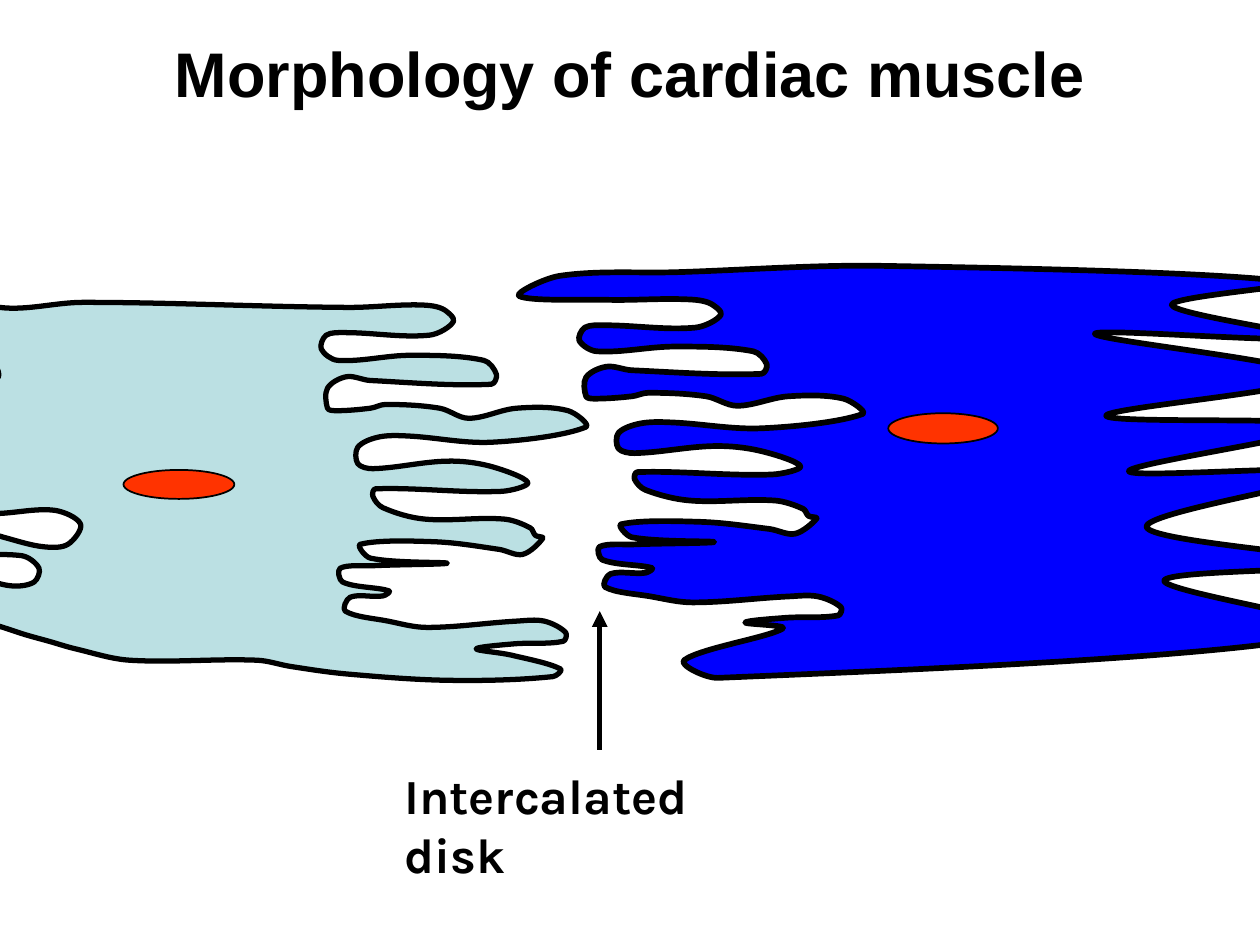
from math import dist
from lxml import etree
from pptx import Presentation, util as u
from pptx.dml.color import RGBColor
from pptx.enum import shapes, text
from pptx.oxml.ns import qn

PX = 9144  # 100 px to the inch

# Fingered edge that both cells share, from top to bottom
EDGE = [
    (331, 242), (351, 245), (360, 255), (341, 266), (274, 264), (259, 266),
    (255, 277), (268, 286), (326, 282), (384, 286), (394, 297), (390, 305),
    (294, 302), (275, 299), (260, 308), (260, 324), (266, 326), (294, 324),
    (306, 321), (349, 324), (372, 332), (410, 324), (451, 326), (465, 339),
    (390, 351), (323, 346), (300, 347), (284, 355), (284, 368), (296, 372),
    (355, 366), (389, 370), (419, 383), (398, 390), (298, 388), (296, 394),
    (304, 403), (337, 412), (400, 412), (421, 419), (425, 425), (431, 427),
    (415, 440), (396, 436), (345, 430), (286, 432), (294, 443), (355, 447),
    (296, 449), (270, 451), (272, 462), (309, 469), (304, 473), (278, 474),
    (274, 485), (308, 493), (339, 498), (410, 493), (432, 493), (449, 502),
    (447, 509), (408, 511), (378, 515), (406, 520)]
# The rest of each cell, from the foot of the edge back to its head
LEFT = [
    (445, 531), (439, 537), (358, 540), (276, 535), (231, 529), (204, 524),
    (103, 524), (60, 515), (39, 509), (21, 504), (-8, 495), (-71, 482),
    (-85, 458), (-22, 458), (9, 465), (27, 462), (31, 451), (17, 441),
    (-73, 438), (-79, 403), (5, 427), (35, 434), (54, 432), (64, 416),
    (43, 405), (-14, 407), (-94, 386), (-102, 364), (-24, 363), (-104, 338),
    (-6, 332), (-14, 317), (-114, 308), (-47, 308), (-2, 300), (-8, 286),
    (-104, 269), (-20, 273), (-94, 229), (-38, 227), (0, 244), (66, 240),
    (276, 244)]
RIGHT = [
    (543, 524), (570, 538), (1065, 502), (924, 461), (1063, 447), (910, 418),
    (1059, 375), (896, 374), (1051, 338), (878, 330), (1043, 299), (869, 265),
    (1036, 268), (930, 242), (1026, 224), (699, 211), (538, 216), (444, 219),
    (412, 235), (484, 238)]


def px(*vals):
    return [u.Emu(round(v * PX)) for v in vals]


def tint(code):
    return RGBColor.from_string(code)


def smooth(pts):
    """Add two handles between each pair of points on a closed outline."""
    count = len(pts)
    slopes = []
    for i, (x, y) in enumerate(pts):
        last, then = pts[i - 1], pts[(i + 1) % count]
        span = dist(last, (x, y)) + dist((x, y), then)
        slopes.append(((then[0] - last[0]) / span, (then[1] - last[1]) / span))
    path = [pts[0]]
    for i, (x, y) in enumerate(pts):
        j = (i + 1) % count
        nx, ny = pts[j]
        reach = dist((x, y), (nx, ny)) / 3
        path += [(x + slopes[i][0] * reach, y + slopes[i][1] * reach),
                 (nx - slopes[j][0] * reach, ny - slopes[j][1] * reach),
                 (nx, ny)]
    return path


def put(frame, words, size=28, font="Arial", bold=True, color="000000", align=None):
    frame.word_wrap = True
    par = frame.paragraphs[0]
    par.alignment = align
    run = par.add_run()
    run.text = words
    face = run.font
    face.size, face.name, face.bold = u.Pt(size), font, bold
    face.color.rgb = tint(color)


class Draw:
    ink = "000000"

    def __init__(self, slide):
        self.slide = slide

    def paint(self, shape, fill, width):
        shape.shadow.inherit = False
        shape.fill.solid()
        shape.fill.fore_color.rgb = tint(fill)
        shape.line.color.rgb = tint(self.ink)
        shape.line.width = u.Pt(width)

    def title(self, words, box):
        head = self.slide.shapes.title
        head.left, head.top, head.width, head.height = px(*box)
        head.text_frame.vertical_anchor = text.MSO_ANCHOR.MIDDLE
        put(head.text_frame, words, size=36, align=text.PP_ALIGN.CENTER)

    def label(self, words, box, **form):
        frame = self.slide.shapes.add_textbox(*px(*box)).text_frame
        put(frame, words, **form)
        frame.auto_size = text.MSO_AUTO_SIZE.SHAPE_TO_FIT_TEXT

    def curve(self, home, pts, fill, width):
        knots = [px(*pt) for pt in smooth(pts)]
        pen = home.build_freeform(*knots[0], scale=1.0)
        pen.add_line_segments(knots[1:], close=True)
        shape = pen.convert_to_shape()
        # Turn each three straight segments into one Bezier curve
        segs = list(shape.element.iter(qn("a:lnTo")))
        for i in range(0, len(segs), 3):
            bend = etree.Element(qn("a:cubicBezTo"))
            segs[i].addprevious(bend)
            for seg in segs[i:i + 3]:
                bend.append(seg[0])
                seg.getparent().remove(seg)
        self.paint(shape, fill, width)

    def cell(self, pts, fill, width, core):
        home = self.slide.shapes.add_group_shape().shapes
        self.curve(home, pts, fill, width)
        spot = home.add_shape(shapes.MSO_SHAPE.OVAL, *px(*core))
        self.paint(spot, "FF3300", 1)

    def arrow(self, start, end, width):
        line = self.slide.shapes.add_connector(
            shapes.MSO_CONNECTOR.STRAIGHT, *px(*start, *end))
        line.line.color.rgb = tint(self.ink)
        line.line.width = u.Pt(width)
        stroke = line.element.spPr.find(qn("a:ln"))
        etree.SubElement(stroke, qn("a:tailEnd"), type="triangle")
        etree.SubElement(line.element.spPr, qn("a:effectLst"))


def main():
    deck = Presentation()
    deck.slide_width, deck.slide_height = px(1000, 750)
    draw = Draw(deck.slides.add_slide(deck.slide_layouts[5]))

    draw.title("Morphology of cardiac muscle", (50, 30, 900, 55))

    # Two muscle cells with nuclei; the right edge is the left one, stretched
    draw.cell(EDGE + LEFT, "BBE0E3", 3, (98, 373, 88, 23))
    mate = [(1.07 * x + 187, 0.94 * y + 10) for x, y in EDGE]
    draw.cell(mate + RIGHT, "0000FF", 3.25, (705, 328, 87, 24))

    # Pointer to the disk between the cells
    draw.arrow((476, 595), (476, 485), 3)
    draw.label("Intercalated disk", (311, 603, 323, 104), font="Karla")

    deck.save("out.pptx")


if __name__ == "__main__":
    main()
